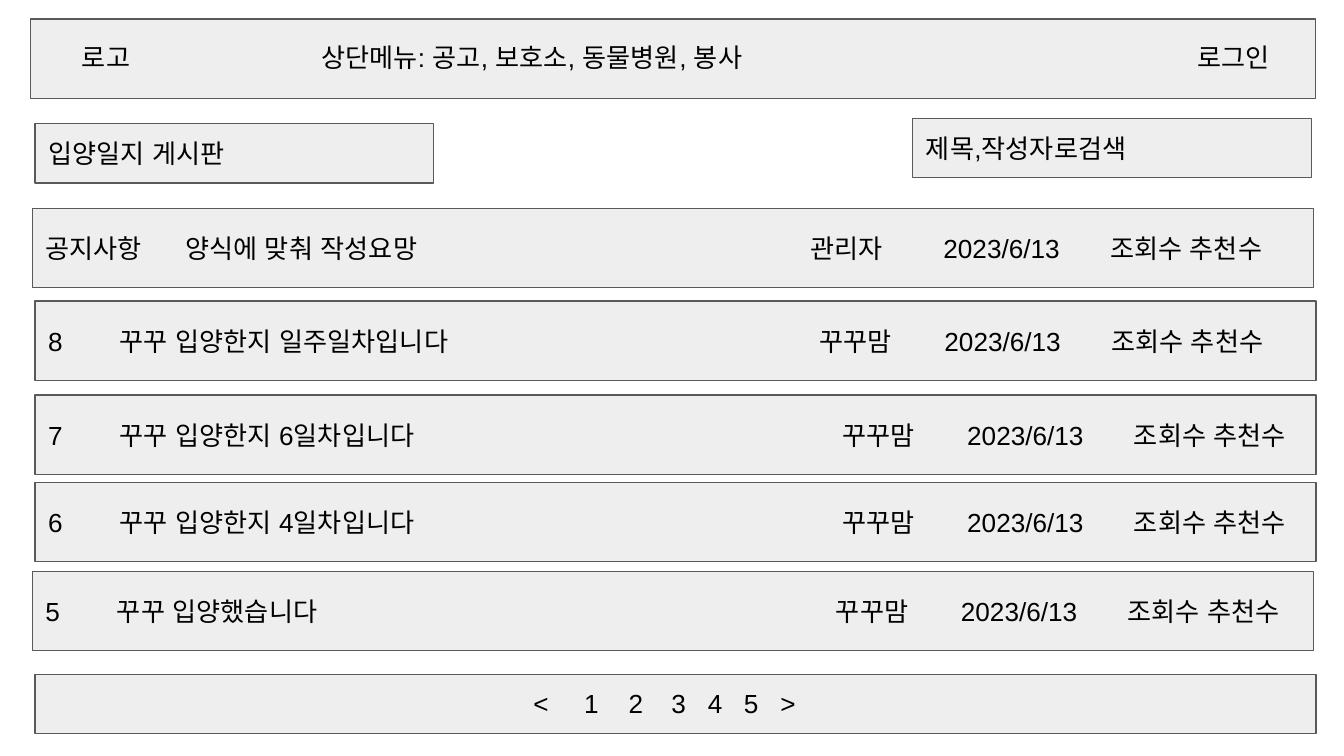
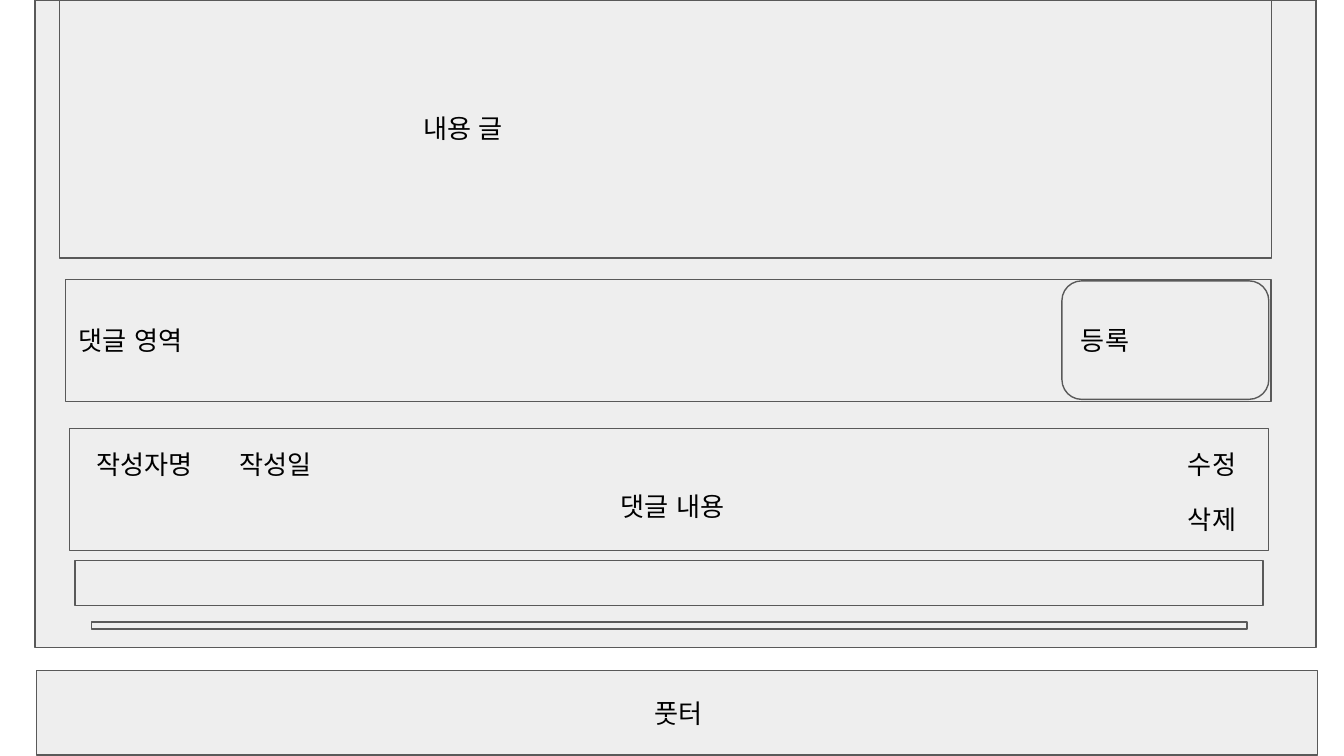
from dataclasses import dataclass
from typing import Optional

from lxml import etree
from pptx import Presentation
from pptx.dml.color import RGBColor
from pptx.enum.shapes import MSO_SHAPE
from pptx.enum.text import MSO_ANCHOR, MSO_AUTO_SIZE, PP_ALIGN
from pptx.oxml.ns import qn
from pptx.util import Cm, Pt

RECT = MSO_SHAPE.RECTANGLE
ROUND = MSO_SHAPE.ROUNDED_RECTANGLE
MIDDLE, TOP = MSO_ANCHOR.MIDDLE, MSO_ANCHOR.TOP
FIT, FIXED = MSO_AUTO_SIZE.SHAPE_TO_FIT_TEXT, MSO_AUTO_SIZE.NONE
LEFT = PP_ALIGN.LEFT


@dataclass(frozen=True)
class Theme:
    fill: RGBColor = RGBColor(0xEE, 0xEE, 0xEE)
    line: RGBColor = RGBColor(0x59, 0x59, 0x59)
    text: RGBColor = RGBColor(0, 0, 0)
    font: str = "Arial"
    size: Pt = Pt(14)
    line_width: Pt = Pt(0.75)
    inset: float = 0.25


THEME = Theme()
FONT = {"name": THEME.font, "size": THEME.size}
PANEL_W, ROW_H, BAR_H = 24.21, 1.5, 1.12
DATE_GAP, COUNT_GAP = 2.36, 3.15


@dataclass(frozen=True)
class Panel:
    left: float
    top: float
    width: float = PANEL_W
    height: float = ROW_H
    text: str = ""
    tabs: tuple[float, ...] = ()
    indent: float = 0
    top_inset: float = THEME.inset
    kind: MSO_SHAPE = RECT


@dataclass(frozen=True)
class Label:
    left: float
    top: float
    width: float
    text: str
    tabs: tuple[float, ...] = ()


@dataclass(frozen=True)
class Post:
    left: float
    top: float
    number: str
    title: str
    author: str
    title_at: float
    author_at: float
    date_gap: float = DATE_GAP


def write(tf, text: str, tabs: tuple[float, ...] = (), indent: float = 0,
          anchor=MIDDLE, auto_size=FIXED, top_inset: float = THEME.inset) -> None:
    inset = Cm(THEME.inset)
    frame = {"word_wrap": True, "auto_size": auto_size, "vertical_anchor": anchor,
             "margin_left": inset, "margin_right": inset,
             "margin_top": Cm(top_inset), "margin_bottom": inset}
    for name, value in frame.items():
        setattr(tf, name, value)
    p = tf.paragraphs[0]
    p.alignment = LEFT
    pPr = p._p.get_or_add_pPr()
    if indent:
        pPr.set("marL", str(Cm(indent)))
        pPr.set("indent", "0")
    if tabs:
        tab_list = etree.SubElement(pPr, qn("a:tabLst"))
        for pos in tabs:
            etree.SubElement(tab_list, qn("a:tab"), pos=str(Cm(pos)), algn="l")
    r = p.add_run()
    r.text = text
    r.font.color.rgb = THEME.text
    for name, value in FONT.items():
        setattr(r.font, name, value)
    for script in ("a:ea", "a:cs"):
        etree.SubElement(r._r.get_or_add_rPr(), qn(script), typeface=THEME.font)


def draw_panel(s, panel: Panel) -> None:
    sp = s.shapes.add_shape(panel.kind, Cm(panel.left), Cm(panel.top),
                            Cm(panel.width), Cm(panel.height))
    sp.shadow.inherit = False
    sp.fill.solid()
    sp.fill.fore_color.rgb = THEME.fill
    sp.line.color.rgb = THEME.line
    sp.line.width = THEME.line_width
    if panel.text:
        write(sp.text_frame, panel.text, panel.tabs, panel.indent,
              top_inset=panel.top_inset)


def draw_label(s, label: Label) -> None:
    sp = s.shapes.add_textbox(Cm(label.left), Cm(label.top),
                              Cm(label.width), Cm(BAR_H))
    write(sp.text_frame, label.text, label.tabs, anchor=TOP, auto_size=FIT)


def draw_post(s, post: Post) -> None:
    date_at = post.author_at + post.date_gap
    cells = (post.number, post.title, post.author, "2023/6/13", "조회수 추천수")
    draw_panel(s, Panel(post.left, post.top, text="\t".join(cells),
                        tabs=(post.title_at, post.author_at, date_at,
                              date_at + COUNT_GAP)))


DRAW = {Panel: draw_panel, Label: draw_label, Post: draw_post}

BOARD = (
    Panel(0.58, 0.36, 24.28),
    Label(1.3, 0.53, 2.11, "로고"),
    Label(5.82, 0.53, 15.01, "상단메뉴: 공고, 보호소, 동물병원, 봉사"),
    Label(22.38, 0.53, 2.11, "로그인"),
    Panel(0.66, 2.34, 7.54, BAR_H, "입양일지 게시판"),
    Panel(17.25, 2.24, 7.54, BAR_H, "제목,작성자로검색"),
    Post(0.61, 3.94, "공지사항", "양식에 맞춰 작성요망", "관리자", 2.64, 14.45, 2.52),
    Post(0.66, 5.69, "8", "꾸꾸 입양한지 일주일차입니다", "꾸꾸맘", 1.35, 14.58),
    Post(0.66, 7.47, "7", "꾸꾸 입양한지 6일차입니다", "꾸꾸맘", 1.35, 15.01),
    Post(0.66, 9.12, "6", "꾸꾸 입양한지 4일차입니다", "꾸꾸맘", 1.35, 15.01),
    Post(0.61, 10.8, "5", "꾸꾸 입양했습니다", "꾸꾸맘", 1.35, 14.94),
    Panel(0.66, 12.75, height=BAR_H),
    Label(1.47, 12.75, 18.82, "\t<\t1\t2\t3\t4\t5\t>",
          (8.36, 9.32, 10.16, 10.97, 11.66, 12.34, 13.03)),
)

DETAIL = (
    Panel(0.66, 0, height=12.24),
    Panel(1.12, 0, 22.91, 4.88),
    Label(7.75, 1.88, 12.65, "내용 글"),
    Panel(1.24, 5.28, 22.78, 2.31, "댓글 영역"),
    Panel(20.07, 5.31, 3.91, 2.24, "등록", kind=ROUND),
    Panel(1.32, 8.1, 22.66, 2.31, "댓글 내용", indent=10.16, top_inset=0.86),
    Label(1.57, 8.23, 2.69, "작성자명"),
    Label(4.27, 8.23, 2.69, "작성일"),
    Label(22.2, 8.23, 1.52, "수정"),
    Label(22.2, 9.27, 1.52, "삭제"),
    Panel(1.42, 10.59, 22.45, 0.86),
    Panel(1.73, 11.76, 21.84, 0.13),
    Panel(0.69, 12.67, height=1.6, text="풋터", indent=11.43),
)


def main() -> None:
    prs = Presentation()
    prs.slide_width, prs.slide_height = Cm(25.4), Cm(14.29)
    for items in (BOARD, DETAIL):
        s = prs.slides.add_slide(prs.slide_layouts[6])
        for item in items:
            DRAW[type(item)](s, item)
    prs.save("out.pptx")


if __name__ == "__main__":
    main()
